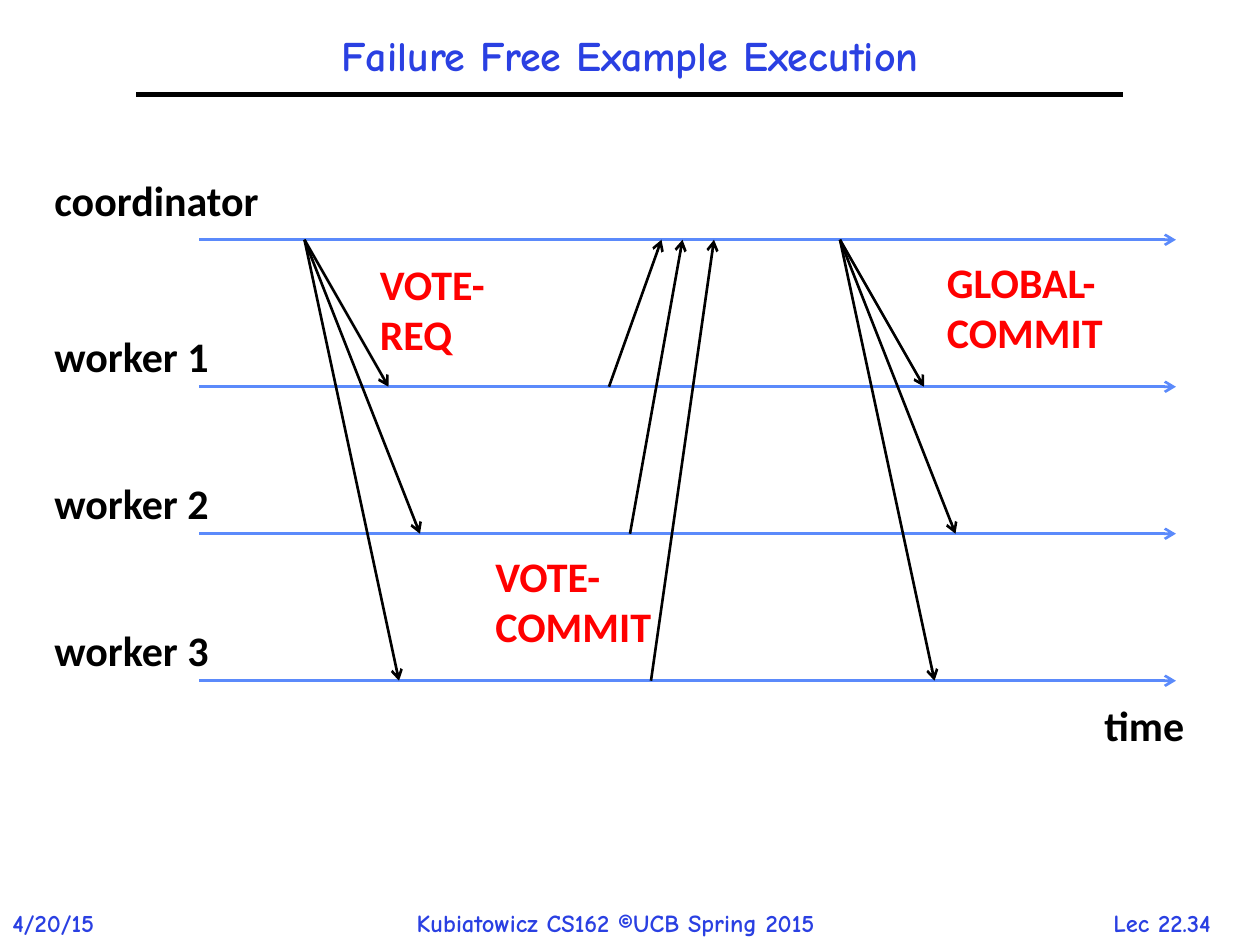
from typing import NamedTuple

from lxml.etree import SubElement
from pptx import Presentation
from pptx.dml.color import RGBColor
from pptx.enum.shapes import MSO_CONNECTOR
from pptx.enum.text import MSO_ANCHOR, PP_ALIGN
from pptx.oxml.ns import qn
from pptx.util import Pt

BLACK, BLUE, LANE_BLUE, RED = "000000", "2A40E2", "5B8AFB", "FF0000"
LANE_TOP, LANE_GAP = 137, 84
LANE_LEFT, LANE_RIGHT = 114, 672
HEADING = {"name": "Comic Neue", "size": Pt(24), "bold": True}
FOOTER = {"name": "Comic Neue", "size": Pt(14), "bold": True}
LABEL = {"name": "Calibri", "size": Pt(24), "bold": True}


class Label(NamedTuple):
    text: str
    left: float
    top: float
    width: float
    height: float
    color: str = BLACK
    style: dict = LABEL
    align: PP_ALIGN = PP_ALIGN.LEFT
    wrap: bool = True


class Line(NamedTuple):
    x1: float
    y1: float
    x2: float
    y2: float
    color: str = BLACK
    width: float = 1.5
    arrow: bool = True


def rgb(color: str) -> RGBColor:
    return RGBColor.from_string(color)


def format_text(p, style: dict, color: str) -> None:
    for name, value in style.items():
        setattr(p.font, name, value)
    p.font.color.rgb = rgb(color)


def draw_label(s, label: Label) -> None:
    box = map(Pt, (label.left, label.top, label.width, label.height))
    tf = s.shapes.add_textbox(*box).text_frame
    tf.word_wrap = label.wrap
    p = tf.paragraphs[0]
    p.text = label.text
    p.alignment = label.align
    format_text(p, label.style, label.color)


def draw_line(s, line: Line) -> None:
    ends = map(Pt, (line.x1, line.y1, line.x2, line.y2))
    sp = s.shapes.add_connector(MSO_CONNECTOR.STRAIGHT, *ends)
    sp.line.color.rgb = rgb(line.color)
    sp.line.width = Pt(line.width)
    if line.arrow:
        SubElement(sp.line._get_or_add_ln(), qn("a:tailEnd"), type="arrow")
    SubElement(sp._element.spPr, qn("a:effectLst"))


def draw_title(s, text: str) -> None:
    sp = s.shapes.title
    frame = {"left": 78, "top": 12, "width": 564, "height": 42}
    for name, value in frame.items():
        setattr(sp, name, Pt(value))
    tf = sp.text_frame
    tf.vertical_anchor = MSO_ANCHOR.MIDDLE
    p = tf.paragraphs[0]
    p.text = text
    p.alignment = PP_ALIGN.CENTER
    p.line_spacing = 0.9
    format_text(p, HEADING, BLUE)


def lane_y(lane: int) -> float:
    return LANE_TOP + lane * LANE_GAP


def broadcast(x: float) -> list[Line]:
    return [Line(x, lane_y(0), x + shift, lane_y(lane))
            for lane, shift in enumerate((48, 66, 54), 1)]


def replies() -> list[Line]:
    spans = ((348, 378), (360, 390), (372, 408))
    return [Line(start, lane_y(lane), end, lane_y(0))
            for lane, (start, end) in enumerate(spans, 1)]


def main() -> None:
    prs = Presentation()
    prs.slide_width, prs.slide_height = Pt(720), Pt(540)
    s = prs.slides.add_slide(prs.slide_layouts[5])
    draw_title(s, "Failure Free Example Execution")

    lanes = [Line(LANE_LEFT, lane_y(i), LANE_RIGHT, lane_y(i), LANE_BLUE)
             for i in range(4)]
    rule = Line(78, 54, 642, 54, width=3, arrow=False)
    for line in [rule, *lanes, *broadcast(174), *replies(), *broadcast(480)]:
        draw_line(s, line)

    workers = [Label(f"worker {i}", 24, lane_y(i) - 35.5, 114, 36.5)
               for i in range(1, 4)]
    labels = [
        Label("coordinator", 24, 96, 144, 36.5),
        *workers,
        Label("time", 624, 396, 66, 36.5),
        Label("VOTE-REQ", 210, 144, 96, 65.5, RED),
        Label("VOTE-COMMIT", 276, 311, 114, 65.5, RED),
        Label("GLOBAL-COMMIT", 534, 143, 120, 65.5, RED),
        Label("4/20/15", 0, 515.5, 72, 24, BLUE, FOOTER, wrap=False),
        Label("Kubiatowicz CS162 ©UCB Spring 2015", 231, 515.5, 279, 24,
              BLUE, FOOTER, wrap=False),
        Label("Lec 22.34", 616, 515.5, 96, 24, BLUE, FOOTER,
              PP_ALIGN.CENTER, False),
    ]
    for label in labels:
        draw_label(s, label)
    prs.save("out.pptx")


if __name__ == "__main__":
    main()
